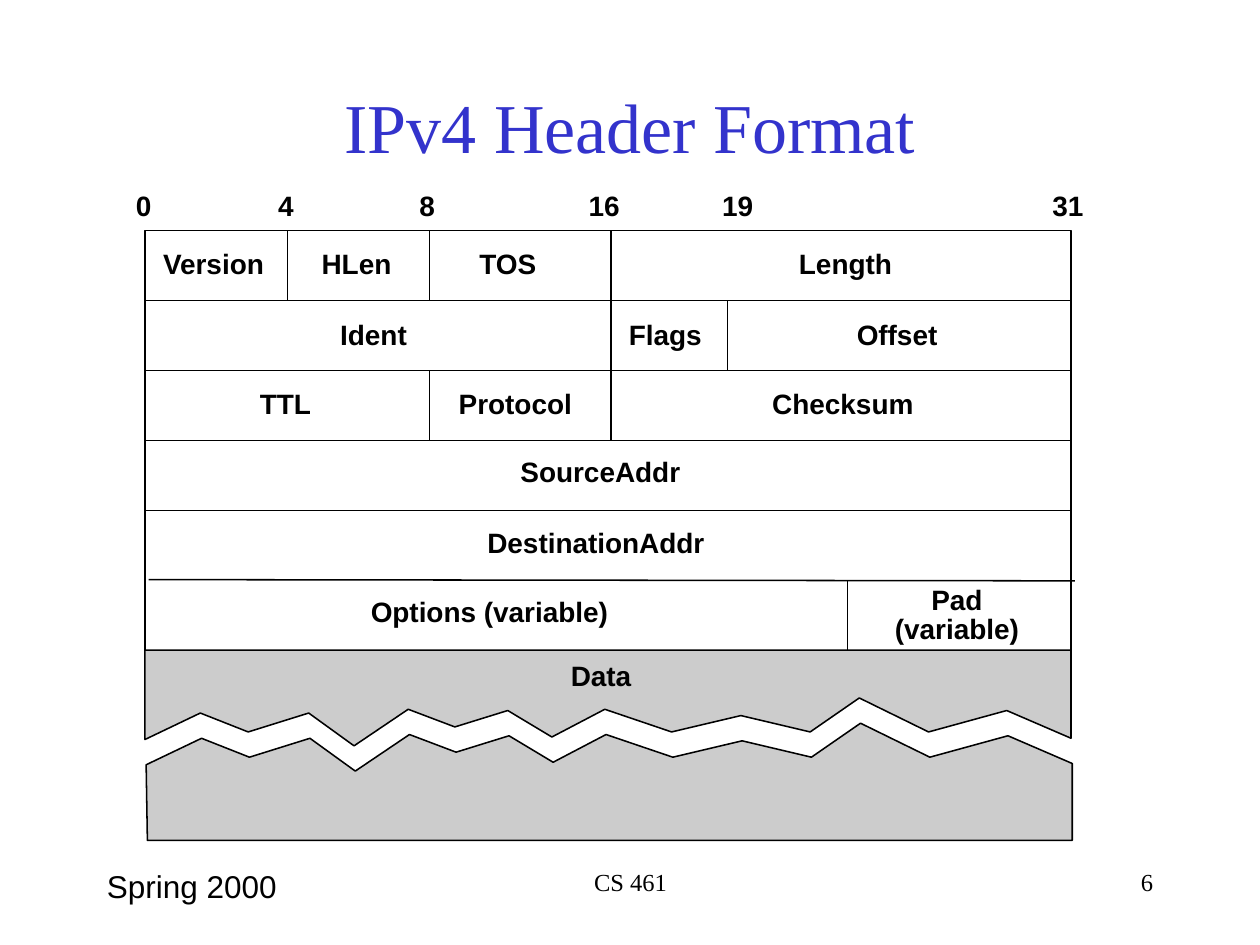
from lxml import etree
from pptx import Presentation
from pptx import util as u
from pptx.dml.color import RGBColor
from pptx.enum import shapes, text
from pptx.oxml.ns import qn

BLACK = RGBColor(0x00, 0x00, 0x00)
BLUE = RGBColor(0x33, 0x33, 0xCC)
GREY = RGBColor(0xCC, 0xCC, 0xCC)
LINE_WIDTH = u.Pt(0.88)
LEFT, RIGHT, TOP, ROW = 1.15, 8.5, 1.83, 0.555
SLACK = 0.02  # room on each side of a label, so that it stays on one line
ALIGN = text.PP_ALIGN

deck = Presentation()
deck.slide_width, deck.slide_height = u.Inches(10), u.Inches(7.5)
page = deck.slides.add_slide(deck.slide_layouts[6])


def add_text(words, left, top, width, height=0.27, size=16, font="Arial", bold=True,
             color=BLACK, align=ALIGN.CENTER, anchor=text.MSO_ANCHOR.TOP,
             margins=(0, 0), wrap=False):
    box = page.shapes.add_textbox(*map(u.Inches, (left, top, width, height)))
    frame = box.text_frame
    frame.word_wrap, frame.vertical_anchor = wrap, anchor
    if not wrap:
        frame.auto_size = text.MSO_AUTO_SIZE.SHAPE_TO_FIT_TEXT
    frame.margin_left = frame.margin_right = u.Inches(margins[0])
    frame.margin_top = frame.margin_bottom = u.Inches(margins[1])
    para = frame.paragraphs[0]
    para.alignment = align
    span = para.add_run()
    span.text = words
    span.font.size, span.font.name, span.font.bold = u.Pt(size), font, bold
    span.font.color.rgb = color


def add_outline(points, closed, fill=None):
    points = [(u.Inches(x), u.Inches(y)) for x, y in points]
    builder = page.shapes.build_freeform(*points[0])
    builder.add_line_segments(points[1:], close=closed)
    shape = builder.convert_to_shape()
    shape.shadow.inherit = False
    shape.line.color.rgb, shape.line.width = BLACK, LINE_WIDTH
    if fill is None:
        shape.fill.background()
    else:
        shape.fill.solid()
        shape.fill.fore_color.rgb = fill


# Title and footer
block = dict(bold=False, margins=(0.1, 0.05), wrap=True)
add_text("IPv4 Header Format", 0.75, 0.5, 8.5, 1, size=40, font="Times New Roman",
         color=BLUE, anchor=text.MSO_ANCHOR.MIDDLE, **block)
add_text("CS 461", 3.42, 6.83, 3.17, 0.5, size=14, font="Times New Roman", **block)
add_text("6", 7.17, 6.83, 2.08, 0.5, size=14, font="Times New Roman",
         align=ALIGN.RIGHT, **block)
add_text("Spring 2000", 0.75, 6.83, 2.08, 0.5, size=18, align=ALIGN.LEFT, **block)

# Header frame, open at the bottom
add_outline([(RIGHT, 5.68), (RIGHT, TOP), (LEFT, TOP), (LEFT, 5.68)], closed=False)

# Row rules, then field dividers as (x, first row, end row)
rules = [(LEFT, TOP + row * ROW, RIGHT, TOP + row * ROW) for row in range(1, 5)]
rules.append((1.18, 4.6, 8.53, 4.61))
dividers = [(2.28, 0, 1), (3.41, 0, 1), (4.85, 0, 3), (5.775, 1, 2), (3.41, 2, 3),
            (6.725, 5, 6)]
rules += [(x, TOP + first * ROW, x, TOP + end * ROW) for x, first, end in dividers]
for ends in rules:
    rule = page.shapes.add_connector(shapes.MSO_CONNECTOR.STRAIGHT, *map(u.Inches, ends))
    rule.line.color.rgb, rule.line.width = BLACK, LINE_WIDTH
    etree.SubElement(rule._element.spPr, qn("a:effectLst"))

# Payload, torn in two along the same edge
tear = [(8.5, 5.86), (7.99, 5.64), (7.37, 5.81), (6.82, 5.54), (6.43, 5.81),
        (5.88, 5.68), (5.33, 5.81), (4.8, 5.63), (4.38, 5.85), (4.03, 5.64),
        (3.61, 5.77), (3.24, 5.63), (2.81, 5.92), (2.45, 5.66), (1.97, 5.81),
        (1.59, 5.66), (1.15, 5.87)]
lower_tear = [(x + 0.01, y + 0.2) for x, y in tear]
add_outline([(LEFT, 5.16), (RIGHT, 5.16)] + tear, closed=True, fill=GREY)
add_outline([(1.17, 6.67), (8.51, 6.67)] + lower_tear, closed=True, fill=GREY)

# Bit numbers and field names: top of the line, then (words, left, width)
labels = {
    1.5: [("0", 1.08, 0.12), ("4", 2.21, 0.12), ("8", 3.33, 0.12),
          ("16", 4.67, 0.25), ("19", 5.73, 0.25), ("31", 8.35, 0.25)],
    1.96: [("Version", 1.28, 0.83), ("HLen", 2.55, 0.56), ("TOS", 3.8, 0.46),
           ("Length", 6.34, 0.74)],
    2.52: [("Ident", 2.7, 0.53), ("Flags", 4.99, 0.58), ("Offset", 6.8, 0.64)],
    3.07: [("TTL", 2.06, 0.41), ("Protocol", 3.64, 0.9), ("Checksum", 6.13, 1.12)],
    3.61: [("SourceAddr", 4.13, 1.27)],
    4.17: [("DestinationAddr", 3.87, 1.72)],
    4.62: [("Pad", 7.39, 0.41)],
    4.72: [("Options (variable)", 2.94, 1.89)],
    4.85: [("(variable)", 7.1, 0.99)],
    5.23: [("Data", 4.53, 0.48)],
}
for top, line in labels.items():
    for words, left, width in line:
        add_text(words, left - SLACK, top, width + 2 * SLACK)

deck.save("out.pptx")
